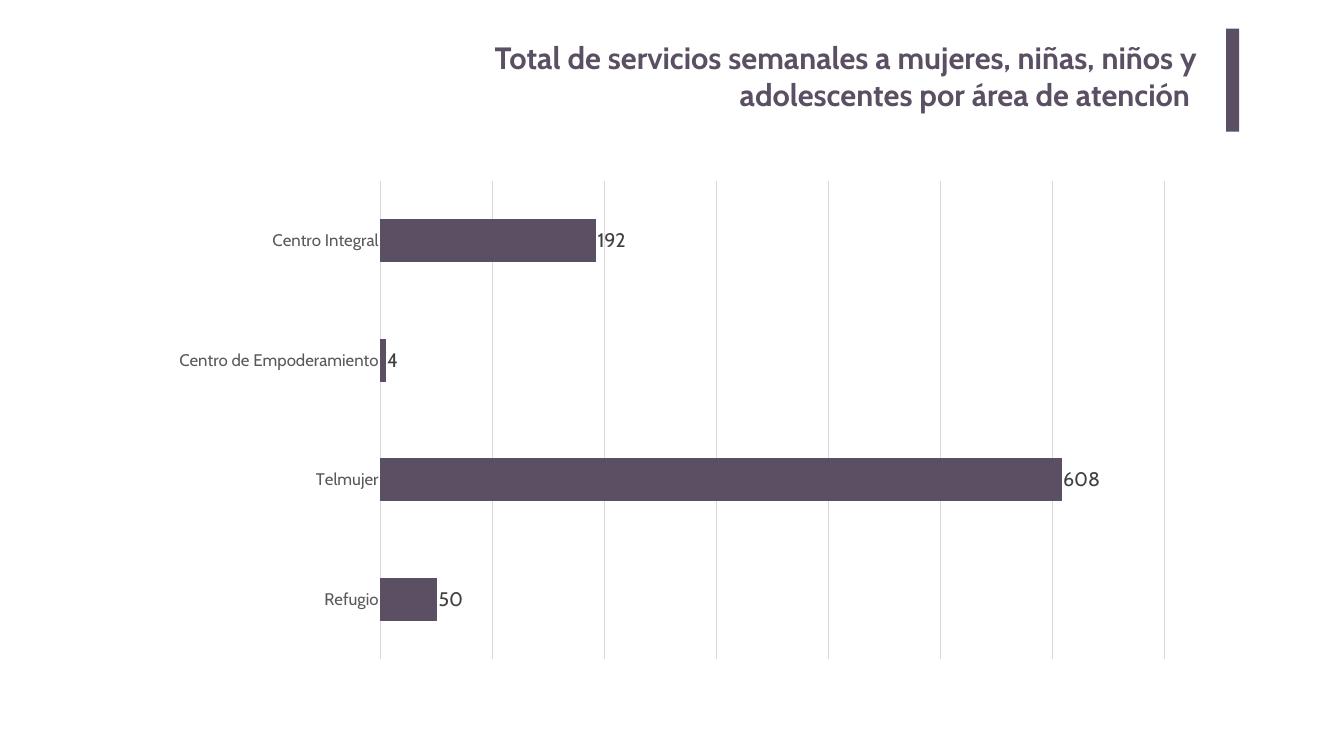
from pptx import Presentation, util as u
from pptx.chart.data import CategoryChartData
from pptx.dml.color import RGBColor
from pptx.enum import chart as ch, shapes, text

COLORS = {"plum": "5B4F63", "grid": "D9D9D9", "axis": "595959", "label": "404040"}
FONT = "Cabin"
AREAS = {"Centro Integral": 192, "Centro de Empoderamiento": 4,
         "Telmujer": 608, "Refugio": 50}


def rgb(name):
    return RGBColor.from_string(COLORS[name])


def style(font, size, color):
    font.name = FONT
    font.size = u.Pt(size)
    font.color.rgb = rgb(color)


deck = Presentation()
deck.slide_width, deck.slide_height = u.Inches(26.67), u.Inches(15)
slide = deck.slides.add_slide(deck.slide_layouts[6])

# Title
box = slide.shapes.add_textbox(u.Inches(6.56), u.Inches(0.67), u.Inches(17.4), u.Inches(2.04))
frame = box.text_frame
frame.word_wrap = True
frame.margin_left = frame.margin_right = u.Inches(0.2)
frame.margin_top = frame.margin_bottom = u.Inches(0.1)
title = frame.paragraphs[0]
title.alignment = text.PP_ALIGN.RIGHT
run = title.add_run()
run.text = "Total de servicios semanales a mujeres, niñas, niños y adolescentes por área de atención "
style(run.font, 44, "plum")
run.font.bold = True

# Accent bar beside the title
bar = slide.shapes.add_shape(shapes.MSO_SHAPE.RECTANGLE, u.Inches(24.33), u.Inches(0.57),
                             u.Inches(0.26), u.Inches(2.04))
bar.shadow.inherit = False
bar.fill.solid()
bar.fill.fore_color.rgb = rgb("plum")
bar.line.fill.background()

# Services by area
data = CategoryChartData()
data.categories = list(AREAS)
data.add_series("Servicios", list(AREAS.values()))
chart = slide.shapes.add_chart(ch.XL_CHART_TYPE.BAR_CLUSTERED, u.Inches(3.15), u.Inches(3.39),
                               u.Inches(20.36), u.Inches(9.88), data).chart
chart.has_title = chart.has_legend = False
style(chart.font, 20, "label")

areas = chart.category_axis
areas.reverse_order = True
areas.major_tick_mark = areas.minor_tick_mark = ch.XL_TICK_MARK.NONE
style(areas.tick_labels.font, 24, "axis")

scale = chart.value_axis
scale.minimum_scale, scale.maximum_scale, scale.major_unit = 0, 700, 100
scale.has_major_gridlines = True
scale.visible = False

plot = chart.plots[0]
plot.gap_width = 182
plot.vary_by_categories = False
series = plot.series[0]
series.format.fill.solid()
series.format.fill.fore_color.rgb = rgb("plum")

for line, color in ((areas.format.line, "grid"), (scale.major_gridlines.format.line, "grid"),
                    (series.format.line, "plum")):
    line.color.rgb = rgb(color)
    line.width = u.Pt(0.75)

labels = series.data_labels
labels.show_value = True
labels.position = ch.XL_LABEL_POSITION.OUTSIDE_END
style(labels.font, 28, "label")

deck.save("out.pptx")
